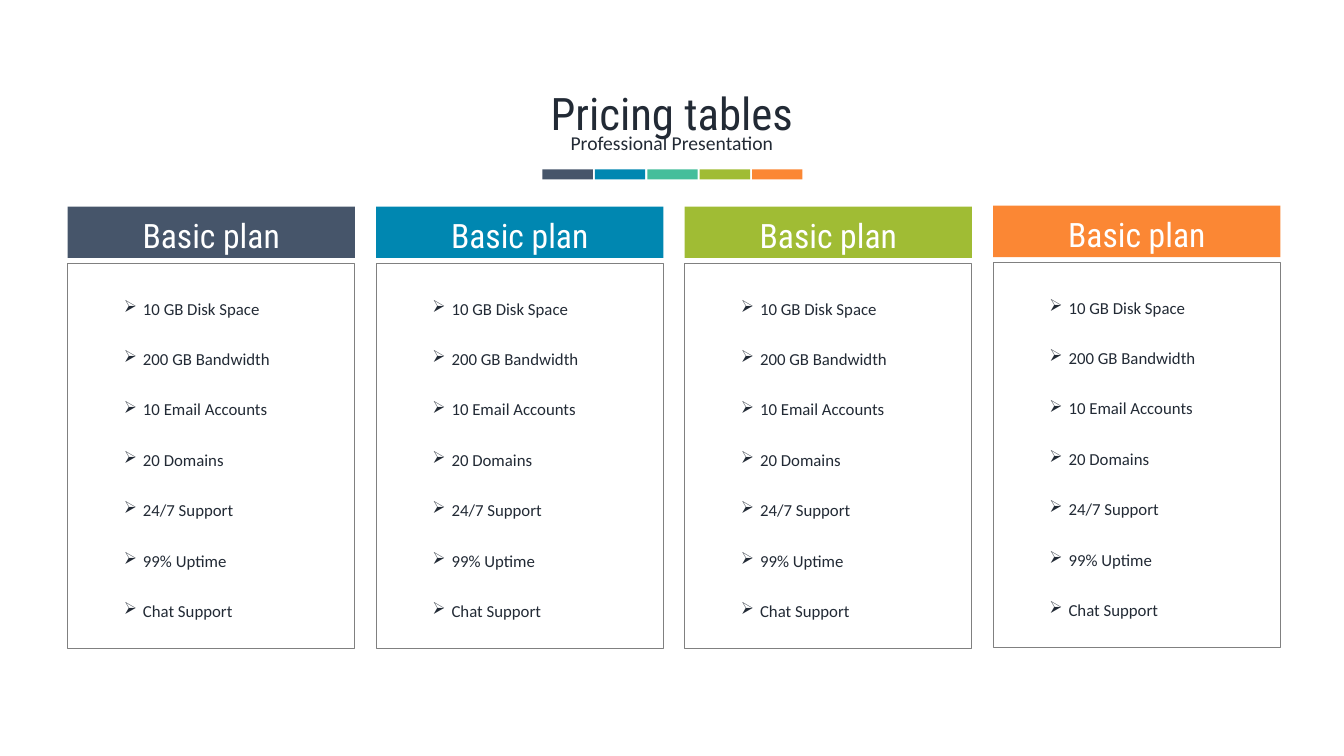
from pptx import Presentation
from pptx.dml.color import RGBColor
from pptx.enum.shapes import MSO_SHAPE
from pptx.enum.text import MSO_ANCHOR, MSO_AUTO_SIZE, PP_ALIGN
from pptx.oxml.ns import qn
from pptx.util import Pt
from lxml import etree

RECTANGLE = MSO_SHAPE.RECTANGLE
LEFT, CENTER = PP_ALIGN.LEFT, PP_ALIGN.CENTER
TOP = MSO_ANCHOR.TOP
NO_AUTOFIT = MSO_AUTO_SIZE.NONE

INK = RGBColor(0x22, 0x2A, 0x35)
WHITE = RGBColor(0xFF, 0xFF, 0xFF)
GRAY = RGBColor(0x80, 0x80, 0x80)
SLATE = RGBColor(0x46, 0x55, 0x6A)
BLUE = RGBColor(0x00, 0x87, 0xB1)
TEAL = RGBColor(0x45, 0xBE, 0x9B)
GREEN = RGBColor(0xA0, 0xBC, 0x34)
ORANGE = RGBColor(0xFB, 0x87, 0x34)

HEADING_FONT, BODY_FONT = "Roboto Condensed", "Calibri"

# Content
TITLE = "Pricing tables"
SUBTITLE = "Professional Presentation"
STRIPE_COLORS = [SLATE, BLUE, TEAL, GREEN, ORANGE]
FEATURES = [
    "10 GB Disk Space",
    "200 GB Bandwidth",
    "10 Email Accounts",
    "20 Domains",
    "24/7 Support",
    "99% Uptime",
    "Chat Support",
]
# Name, color, top of the card
PLANS = [
    ("Basic plan", SLATE, 205),
    ("Basic plan", BLUE, 205),
    ("Basic plan", GREEN, 205),
    ("Basic plan", ORANGE, 204),
]

# Layout in px, 100 px to the inch
PX = 9144
PAGE_WIDTH, PAGE_HEIGHT = 1333, 750
STRIPE_LEFT, STRIPE_TOP, STRIPE_STEP = 538, 168, 52
STRIPE_WIDTH, STRIPE_HEIGHT = 50, 10
CARD_LEFT, CARD_STEP, CARD_WIDTH = 67, 306, 285
HEADER_HEIGHT, BODY_OFFSET, BODY_HEIGHT = 51, 56, 382
LIST_INSET, LIST_HEIGHT, BULLET_INDENT = 46, 364, 19


def to_emu(*lengths):
    return [length * PX for length in lengths]


def add_rectangle(shapes, place, fill=None, line=None):
    shape = shapes.add_shape(RECTANGLE, *to_emu(*place))
    shape.shadow.inherit = False
    if fill is None:
        shape.fill.background()
    else:
        shape.fill.solid()
        shape.fill.fore_color.rgb = fill
    if line is None:
        shape.line.fill.background()
    else:
        shape.line.color.rgb = line
        shape.line.width = Pt(0)


def add_bullet(para):
    properties = para._p.get_or_add_pPr()
    properties.set("marL", str(BULLET_INDENT * PX))
    properties.set("indent", str(-BULLET_INDENT * PX))
    etree.SubElement(properties, qn("a:buChar")).set("char", "➢")


def write_text(box, lines, size, font=BODY_FONT, color=INK, align=CENTER,
               spacing=1.0, bullet=False):
    frame = box.text_frame
    frame.word_wrap = True
    frame.auto_size = NO_AUTOFIT
    frame.vertical_anchor = TOP
    frame.text = "\n".join(lines)
    for para in frame.paragraphs:
        if bullet:
            add_bullet(para)
        para.alignment = align
        para.line_spacing = spacing
        para.font.size = Pt(size)
        para.font.name = font
        para.font.color.rgb = color


def add_text(shapes, place, lines, size, **style):
    write_text(shapes.add_textbox(*to_emu(*place)), lines, size, **style)


def add_plan(page, left, top, name, color):
    shapes = page.shapes.add_group_shape().shapes
    body_top = top + BODY_OFFSET
    add_rectangle(shapes, (left, body_top, CARD_WIDTH, BODY_HEIGHT), line=GRAY)
    add_text(shapes,
             (left + LIST_INSET, body_top, CARD_WIDTH - 2 * LIST_INSET, LIST_HEIGHT),
             FEATURES, 12, align=LEFT, spacing=2.5, bullet=True)
    add_rectangle(shapes, (left, top, CARD_WIDTH, HEADER_HEIGHT), fill=color)
    add_text(shapes, (left, top + 3, CARD_WIDTH, 50), [name], 24,
             font=HEADING_FONT, color=WHITE)


def main():
    deck = Presentation()
    deck.slide_width, deck.slide_height = to_emu(PAGE_WIDTH, PAGE_HEIGHT)
    page = deck.slides.add_slide(deck.slide_layouts[5])

    # Title and subtitle
    title = page.shapes.title
    title.left, title.top, title.width, title.height = to_emu(0, 80, PAGE_WIDTH, 64)
    write_text(title, [TITLE], 32, font=HEADING_FONT)
    add_text(page.shapes, (68, 125, 1197, 34), [SUBTITLE], 14)

    # Color stripe
    for index, color in enumerate(STRIPE_COLORS):
        left = STRIPE_LEFT + index * STRIPE_STEP
        add_rectangle(page.shapes, (left, STRIPE_TOP, STRIPE_WIDTH, STRIPE_HEIGHT),
                      fill=color)

    # Plan cards
    for index, (name, color, top) in enumerate(PLANS):
        add_plan(page, CARD_LEFT + index * CARD_STEP, top, name, color)

    deck.save("out.pptx")


if __name__ == "__main__":
    main()
